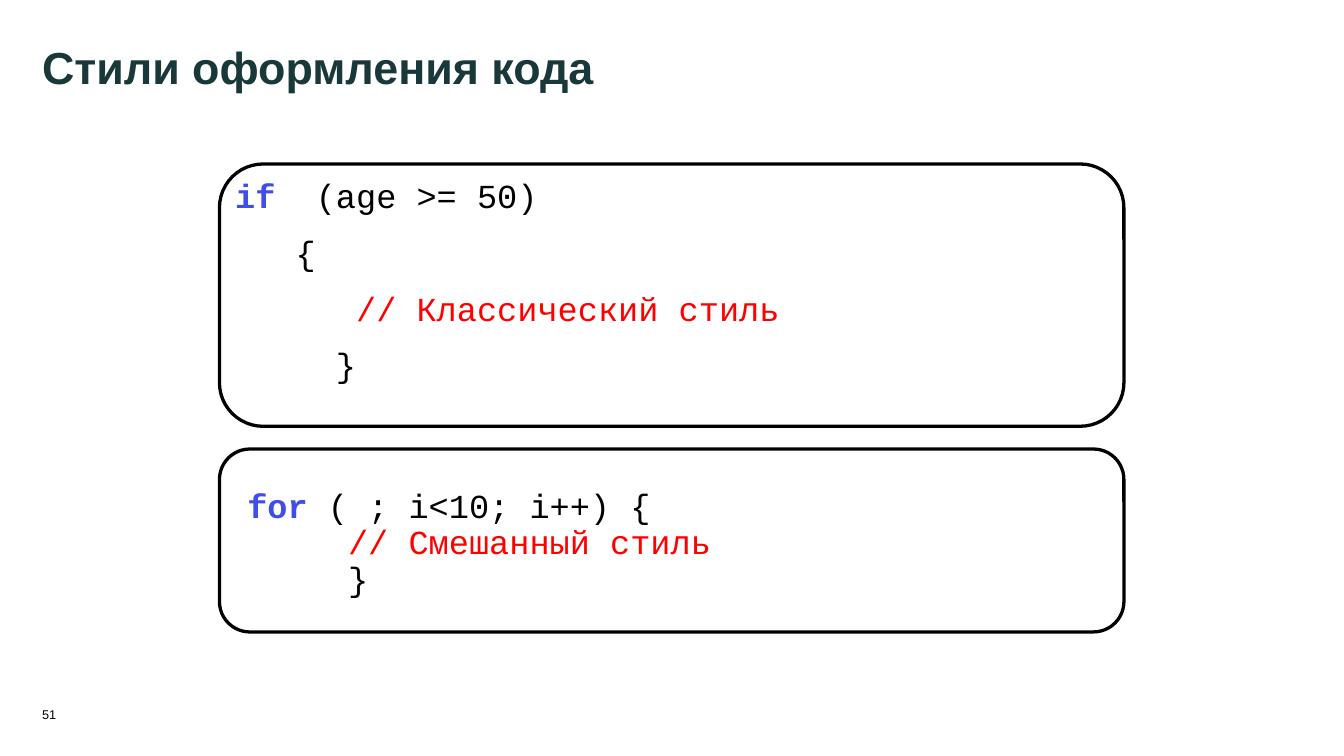
"""Build a slide that shows two code formatting styles in framed listings."""
from dataclasses import dataclass

from lxml import etree
from pptx import Presentation
from pptx import util as u
from pptx.dml.color import RGBColor
from pptx.enum import shapes, text
from pptx.oxml import ns

WIDTH = u.Inches(10)
HEIGHT = u.Emu(WIDTH * 9 // 16)
COLORS = {"title": "19383A", "keyword": "3E4EE6", "code": "000000", "comment": "FF0000"}
CODE_FONT, CODE_SIZE = "Courier New", 18
CHAR_WIDTH = u.Pt(CODE_SIZE * 0.6)


@dataclass(frozen=True)
class Area:
    """A rectangle in percent of the slide's size."""

    left: float
    top: float
    width: float
    height: float

    def emu(self) -> tuple[int, ...]:
        """Return left, top, width and height in EMU."""
        sides = ((self.left, WIDTH), (self.top, HEIGHT), (self.width, WIDTH), (self.height, HEIGHT))
        return tuple(round(share * side / 100) for share, side in sides)


@dataclass(frozen=True)
class Piece:
    """A stretch of text in one style, which may start a new row."""

    text: str
    color: str = "code"
    bold: bool = False
    new_row: bool = False


@dataclass(frozen=True)
class Line:
    """A paragraph of code, with its first and later rows indented by character columns."""

    column: int
    pieces: tuple[Piece, ...]
    later_column: int = 0


@dataclass(frozen=True)
class Listing:
    """A framed block of code."""

    frame: Area
    body: Area
    lines: tuple[Line, ...]


LISTINGS = (
    Listing(
        Area(16.33, 21.7, 67.3, 34.7), Area(17.5, 23.75, 64.4, 33.6),
        (
            Line(0, (Piece("if", "keyword", True), Piece("  (age >= 50)"))),
            Line(3, (Piece("{"),)),
            Line(6, (Piece("// Классический стиль", "comment"),)),
            Line(5, (Piece("}"),)),
        ),
    ),
    Listing(
        Area(16.33, 59.4, 67.3, 24.2), Area(16.9, 64.75, 62, 23.1),
        (
            Line(1, (
                Piece("for", "keyword", True),
                Piece(" ( ; i<10; i++) {"),
                Piece("// Смешанный стиль", "comment", new_row=True),
                Piece("}", new_row=True),
            ), later_column=6),
        ),
    ),
)


def add_text_frame(s, area: Area, wrap: bool = True):
    """Add a text box without margins and return its text frame."""
    tf = s.shapes.add_textbox(*area.emu()).text_frame
    tf.margin_left = tf.margin_right = tf.margin_top = tf.margin_bottom = 0
    tf.word_wrap = wrap
    return tf


def style_run(r, font: str, size: float, color: str, bold: bool = False) -> None:
    """Set the font of a run."""
    r.font.name, r.font.size, r.font.bold = font, u.Pt(size), bold
    r.font.color.rgb = RGBColor.from_string(COLORS[color])


def add_label(s, area: Area, words: str, size: float, color: str, bold: bool = False,
              wrap: bool = True, anchor=text.MSO_ANCHOR.TOP) -> None:
    """Add a single line of Arial text."""
    tf = add_text_frame(s, area, wrap)
    tf.vertical_anchor = anchor
    tf.text = words
    style_run(tf.paragraphs[0].runs[0], "Arial", size, color, bold)


def add_code_line(p, line: Line) -> None:
    """Fill a paragraph with code."""
    p.line_spacing, p.space_before = 0.9, u.Pt(0.6 * CODE_SIZE)
    margin = max(line.column, line.later_column)
    pPr = p._p.get_or_add_pPr()
    pPr.set("marL", str(margin * CHAR_WIDTH))
    pPr.set("indent", str((line.column - margin) * CHAR_WIDTH))
    etree.SubElement(pPr, ns.qn("a:buNone"))
    for piece in line.pieces:
        if piece.new_row:
            p.add_line_break()
        r = p.add_run()
        r.text = piece.text
        style_run(r, CODE_FONT, CODE_SIZE, piece.color, piece.bold)


def add_listing(s, listing: Listing) -> None:
    """Add a block of code and its rounded frame."""
    tf = add_text_frame(s, listing.body)
    for i, line in enumerate(listing.lines):
        add_code_line(tf.add_paragraph() if i else tf.paragraphs[0], line)
    sp = s.shapes.add_shape(shapes.MSO_SHAPE.FLOWCHART_ALTERNATE_PROCESS, *listing.frame.emu())
    sp.shadow.inherit = False
    sp.fill.background()
    sp.line.color.rgb = RGBColor.from_string(COLORS["code"])
    sp.line.width = u.Pt(1.75)


def main() -> None:
    """Build and save the slide."""
    prs = Presentation()
    prs.slide_width, prs.slide_height = WIDTH, HEIGHT
    s = prs.slides.add_slide(prs.slide_layouts[6])
    add_label(s, Area(3.13, 5.2, 93.7, 12.6), "Стили оформления кода", 24, "title", bold=True)
    add_label(s, Area(3.13, 89.3, 3.1, 6.2), "51", 6.8, "code", wrap=False,
              anchor=text.MSO_ANCHOR.BOTTOM)
    for listing in LISTINGS:
        add_listing(s, listing)
    prs.save("out.pptx")


if __name__ == "__main__":
    main()
